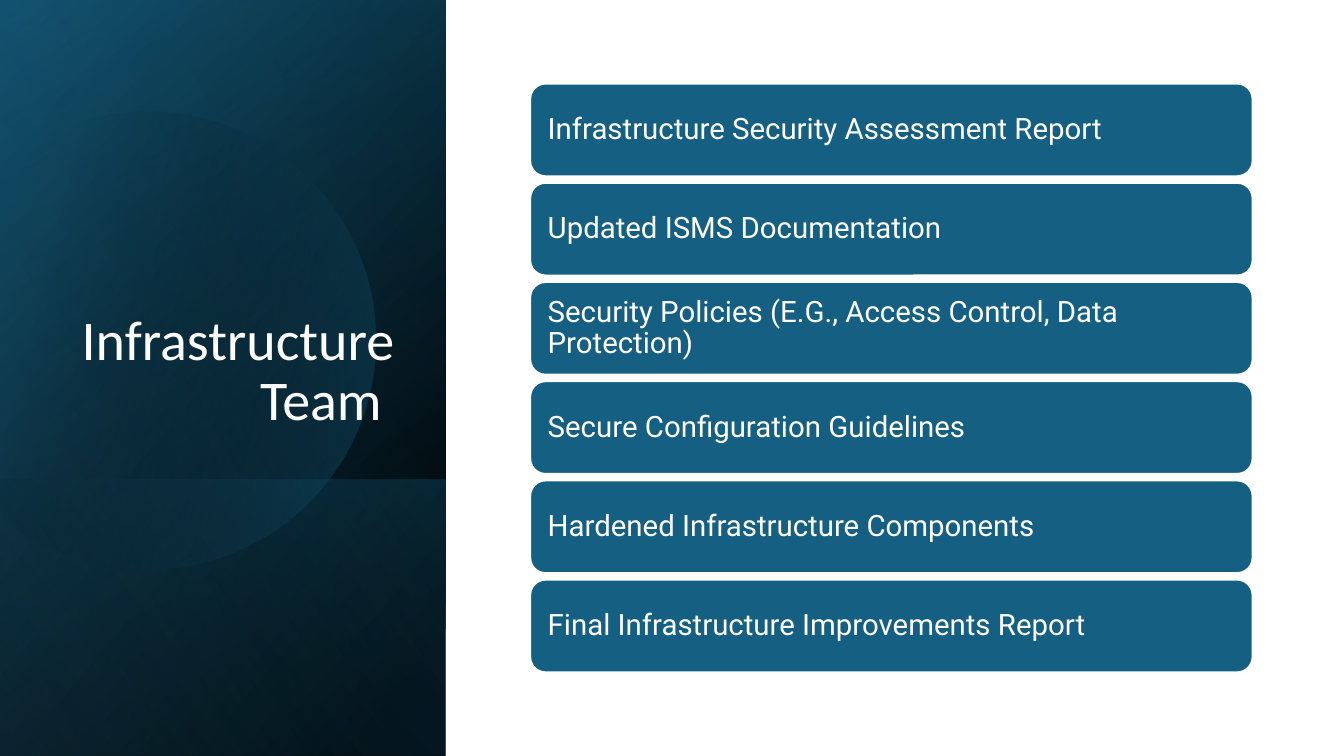
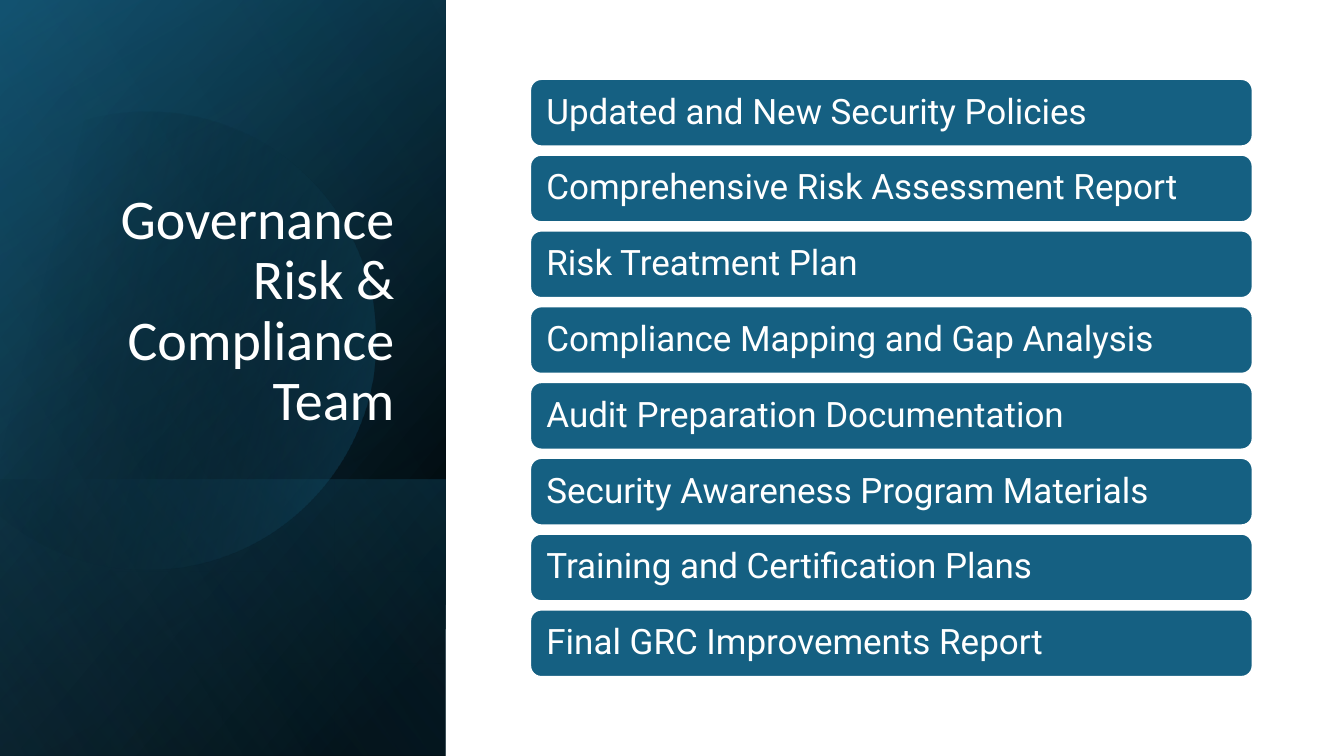
from pptx import Presentation
from pptx.dml.color import RGBColor
from pptx.enum.shapes import MSO_SHAPE as Kind
from pptx.enum.text import MSO_ANCHOR as Anchor, MSO_AUTO_SIZE as Fit, PP_ALIGN as Align
from pptx.oxml import parse_xml
from pptx.oxml.ns import nsdecls, qn
from pptx.util import Cm, Pt

WIDE, HIGH, SIDE = 33.87, 19.05, 11.23
WHITE, BLACK, TEAL, NAVY, SKY = "FFFFFF", "000000", "156082", "104862", "46B1E1"

# Side panel: box (left, top, width, height), angle, stops (place, colour, opacity)
FULL = (0, 0, SIDE, HIGH)
BASE = (FULL, 50, [(8, BLACK, 100), (100, NAVY, 100)])
GLOW = (FULL, 30, [(0, BLACK, 0), (99, TEAL, 46)])
FOOT = ((0, 12.09, SIDE, 6.96), 130, [(2, TEAL, 29), (100, BLACK, 30)])
DISC = ((-2.06, 2.82, 11.53, 11.53), 14, [(29, BLACK, 0), (100, TEAL, 43)])
TINT = (FULL, 120, [(0, BLACK, 0), (99, SKY, 11)])

BAR_LEFT, BAR_WIDE = 13.36, 18.21

# Each slide: title, bar height, gap, text size, inset, bar texts
TEAMS = [
    ("Infrastructure Team ", 2.34, 0.16, 21, 0.33, [
        "Infrastructure Security Assessment Report",
        "Updated ISMS Documentation",
        "Security Policies (E.G., Access Control, Data Protection)",
        "Secure Configuration Guidelines",
        "Hardened Infrastructure Components",
        "Final Infrastructure Improvements Report",
    ]),
    ("Governance Risk & Compliance Team", 1.7, 0.21, 25, 0.33, [
        "Updated and New Security Policies",
        "Comprehensive Risk Assessment Report",
        "Risk Treatment Plan",
        "Compliance Mapping and Gap Analysis",
        "Audit Preparation Documentation",
        "Security Awareness Program Materials",
        "Training and Certification Plans",
        "Final GRC Improvements Report",
    ]),
]


def rgb(code):
    return RGBColor.from_string(code)


def add_box(slide, kind, box):
    shape = slide.shapes.add_shape(kind, *map(Cm, box))
    shape.shadow.inherit = False
    return shape


def shade(shape, angle, stops):
    """Fill with a linear gradient whose stops have their own opacity."""
    marks = "".join(
        f'<a:gs pos="{place * 1000}"><a:srgbClr val="{code}">'
        f'<a:alpha val="{seen * 1000}"/></a:srgbClr></a:gs>'
        for place, code, seen in stops)
    grad = parse_xml(
        f'<a:gradFill {nsdecls("a")} rotWithShape="1"><a:gsLst>{marks}</a:gsLst>'
        f'<a:lin ang="{angle * 60000}" scaled="0"/></a:gradFill>')
    shape.line.fill.background()
    shape.fill.background()
    props = shape.element.spPr
    props.replace(props.find(qn("a:noFill")), grad)


def add_sheet(slide, box, angle, stops):
    """Add a mirrored rectangle, turned upright so that it covers the box."""
    left, top, wide, high = box
    shift = (wide - high) / 2
    sheet = add_box(slide, Kind.RECTANGLE, (left + shift, top - shift, high, wide))
    sheet.rotation = 90
    sheet.element.spPr.find(qn("a:xfrm")).set("flipH", "1")
    shade(sheet, angle, stops)
    return sheet


def add_disc(slide, box, angle, stops):
    """Add a circle cut off by a straight edge on its left."""
    disc = add_box(slide, Kind.CHORD, box)
    for index, turn in enumerate((225, 135)):
        disc.adjustments[index] = turn * 0.6
    shade(disc, angle, stops)
    return disc


def set_layout(layout, slide):
    """Draw the panel on a slide, then move it to the layout all slides share."""
    panel = [add_sheet(slide, *part) for part in (BASE, GLOW, FOOT)]
    panel += [add_disc(slide, *DISC), add_sheet(slide, *TINT)]
    for spot, shape in enumerate(panel, 2):
        layout.shapes.element.insert(spot, shape.element)
    title = layout.placeholders[0]
    title.left, title.top, title.width, title.height = map(Cm, (1.3, 1.63, 8.89, 9.4))


def write(shape, text, font, size, align):
    para = shape.text_frame.paragraphs[0]
    para.alignment, para.line_spacing = align, 0.9
    run = para.add_run()
    run.text = text
    run.font.name, run.font.size = font, Pt(size)
    run.font.color.rgb = rgb(WHITE)


def add_title(slide, text):
    title = slide.shapes.title
    frame = title.text_frame
    frame.vertical_anchor, frame.auto_size = Anchor.BOTTOM, Fit.NONE
    write(title, text, "Calibri", 40, Align.RIGHT)


def add_bars(slide, high, gap, size, inset, texts):
    """Stack the bars, centred on the height of the slide."""
    step = high + gap
    top = (HIGH - step * len(texts) + gap) / 2
    for row, text in enumerate(texts):
        bar = add_box(slide, Kind.ROUNDED_RECTANGLE,
                      (BAR_LEFT, top + row * step, BAR_WIDE, high))
        bar.fill.solid()
        bar.fill.fore_color.rgb = rgb(TEAL)
        bar.line.color.rgb, bar.line.width = rgb(WHITE), Pt(1.5)
        frame = bar.text_frame
        frame.word_wrap, frame.vertical_anchor = True, Anchor.MIDDLE
        frame.margin_left = frame.margin_right = Cm(inset)
        frame.margin_top = frame.margin_bottom = 0
        write(bar, text, "Roboto", size, Align.LEFT)


def main():
    deck = Presentation()
    deck.slide_width, deck.slide_height = Cm(WIDE), Cm(HIGH)
    layout = deck.slide_layouts[5]
    slides = [deck.slides.add_slide(layout) for _ in TEAMS]
    set_layout(layout, slides[0])
    for slide, (title, *bars) in zip(slides, TEAMS):
        add_title(slide, title)
        add_bars(slide, *bars)
    deck.save("out.pptx")


if __name__ == "__main__":
    main()
